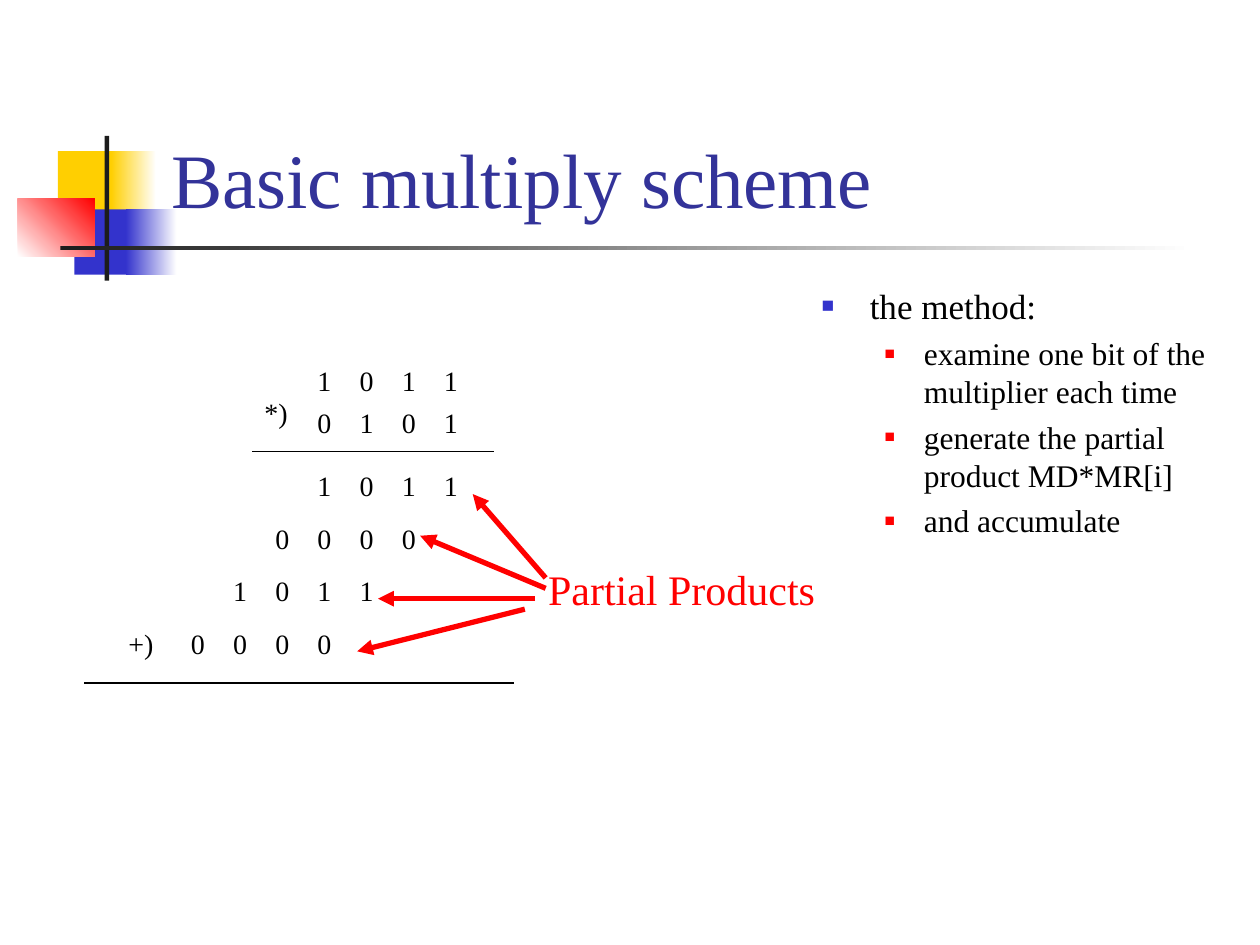
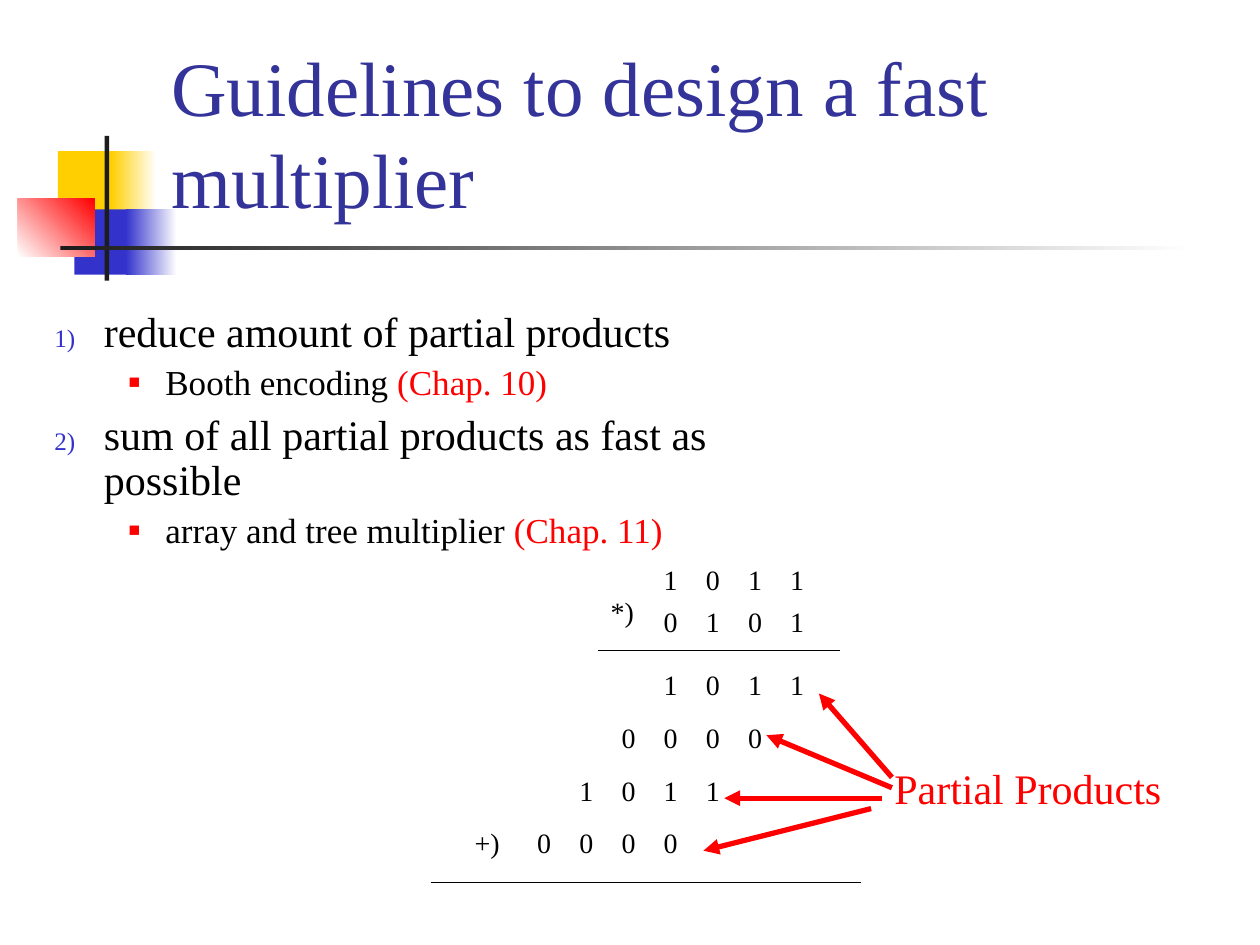
from collections import namedtuple

from pptx import Presentation
from pptx.dml.color import RGBColor
from pptx.enum.shapes import MSO_CONNECTOR as Connector, MSO_SHAPE as Shape
from pptx.enum.text import MSO_ANCHOR as Anchor, MSO_AUTO_SIZE as AutoSize, PP_ALIGN as Align
from pptx.oxml.ns import qn
from pptx.oxml.xmlchemy import OxmlElement
from pptx.util import Cm, Pt

FONT = "Times New Roman"
BLACK = RGBColor(0x00, 0x00, 0x00)
WHITE = RGBColor(0xFF, 0xFF, 0xFF)
CHARCOAL = RGBColor(0x1C, 0x1C, 0x1C)
YELLOW = RGBColor(0xFF, 0xCF, 0x01)
BLUE = RGBColor(0x33, 0x33, 0xCC)
RED = RGBColor(0xFF, 0x00, 0x00)
TITLE_BLUE = RGBColor(0x33, 0x33, 0x99)

SQUARE = "■"
DIGIT_STEP = 0.85
PARTIAL_STEP = 1.06

Level = namedtuple("Level", "size space_before margin hanging bullet_color bullet_size numbered")

METHOD_LEVELS = [
    Level(20, 5, 0.97, 0.97, BLUE, 60, False),
    Level(18, 4.5, 2.06, 0.79, RED, 55, False),
]
GUIDELINE_LEVELS = [
    Level(24, 6, 1, 1, BLUE, 60, True),
    Level(20, 5, 2.24, 0.74, RED, 55, False),
]

METHOD_ITEMS = [
    (0, "the method:", ""),
    (1, "examine one bit of the multiplier each time", ""),
    (1, "generate the partial product MD*MR[i]", ""),
    (1, "and accumulate", ""),
]
GUIDELINE_ITEMS = [
    (0, "reduce amount of partial products", ""),
    (1, "Booth encoding ", "(Chap. 10)"),
    (0, "sum of all partial products as fast as possible", ""),
    (1, "array and tree multiplier ", "(Chap. 11)"),
]

DECORATION = [
    ((1.17, 3.05, 1.22, 1.32), [YELLOW], 0),
    ((2.24, 3.05, 0.91, 1.32), [YELLOW, WHITE], 0),
    ((1.5, 4.22, 1.17, 1.32), [BLUE], 0),
    ((2.54, 4.22, 1.02, 1.32), [BLUE, WHITE], 0),
    ((0.36, 4.01, 1.55, 1.17), [WHITE, RED], 45),
    ((2.11, 2.74, 0.09, 2.92), [CHARCOAL], 0),
    ((1.22, 4.95, 22.86, 0.09), [CHARCOAL, WHITE], 0),
]

MULTIPLICAND = "1011"
MULTIPLIER = "0101"
PARTIAL_PRODUCTS = ["1011", "0000", "1011", "0000"]
PARTIAL_ARROWS = [
    ((9.3, 4.45), (7.83, 2.76)),
    ((9.3, 4.66), (6.77, 3.6)),
    ((9.09, 4.87), (5.92, 4.87)),
    ((8.88, 5.08), (5.5, 5.93)),
]


def add_child(parent, tag, **attributes):
    child = OxmlElement(tag)
    for name, value in attributes.items():
        child.set(name, str(value))
    parent.append(child)
    return child


def style_font(font, size, color):
    font.name = FONT
    font.size = Pt(size)
    font.color.rgb = color


def place(shape, left, top, width, height):
    shape.left, shape.top = Cm(left), Cm(top)
    shape.width, shape.height = Cm(width), Cm(height)


def add_block(slide, box, colors, angle):
    block = slide.shapes.add_shape(Shape.RECTANGLE, *map(Cm, box))
    block.shadow.inherit = False
    block.line.fill.background()
    if len(colors) == 1:
        block.fill.solid()
        block.fill.fore_color.rgb = colors[0]
    else:
        block.fill.gradient()
        block.fill.gradient_angle = angle
        for stop, color in zip(block.fill.gradient_stops, colors):
            stop.color.rgb = color
    return block


def decorate_layout(slide):
    layout_tree = slide.slide_layout.shapes.element
    for shape_id, (box, colors, angle) in enumerate(DECORATION, start=101):
        element = add_block(slide, box, colors, angle).element
        element.nvSpPr.cNvPr.set("id", str(shape_id))
        layout_tree.append(element)


def set_title(slide, text):
    title = slide.shapes.title
    place(title, 3.2, 0.58, 21.64, 4.06)
    frame = title.text_frame
    frame.text = text
    frame.auto_size = AutoSize.NONE
    frame.vertical_anchor = Anchor.BOTTOM
    paragraph = frame.paragraphs[0]
    paragraph.alignment = Align.LEFT
    style_font(paragraph.font, 44, TITLE_BLUE)


def add_bullet(paragraph, level):
    properties = paragraph._p.get_or_add_pPr()
    properties.set("marL", str(Cm(level.margin)))
    properties.set("indent", str(-Cm(level.hanging)))
    color = add_child(properties, "a:buClr")
    add_child(color, "a:srgbClr", val=level.bullet_color)
    add_child(properties, "a:buSzPct", val=level.bullet_size * 1000)
    add_child(properties, "a:buFont", typeface=FONT)
    if level.numbered:
        add_child(properties, "a:buAutoNum", type="arabicParenR")
    else:
        add_child(properties, "a:buChar", char=SQUARE)


def fill_body(slide, box, items, levels, line_spacing):
    body = slide.placeholders[1]
    place(body, *box)
    frame = body.text_frame
    frame.auto_size = AutoSize.NONE
    for index, (depth, text, chapter) in enumerate(items):
        paragraph = frame.add_paragraph() if index else frame.paragraphs[0]
        level = levels[depth]
        paragraph.level = depth
        add_bullet(paragraph, level)
        paragraph.line_spacing = line_spacing
        paragraph.space_before = Pt(level.space_before if index else 0)
        style_font(paragraph.font, level.size, BLACK)
        paragraph.add_run().text = text
        if chapter:
            run = paragraph.add_run()
            run.text = chapter
            run.font.color.rgb = RED


def add_label(slide, left, top, width, text, size=16, color=BLACK):
    height = 1.27 if size > 16 else 0.94
    label = slide.shapes.add_textbox(Cm(left), Cm(top), Cm(width), Cm(height))
    label.text_frame.word_wrap = True
    paragraph = label.text_frame.paragraphs[0]
    paragraph.text = text
    if "\t" in text:
        tabs = add_child(paragraph._p.get_or_add_pPr(), "a:tabLst")
        for column in range(1, text.count("\t") + 1):
            add_child(tabs, "a:tab", pos=Cm(column * DIGIT_STEP), algn="l")
    style_font(paragraph.font, size, color)


def add_digits(slide, left, top, digits):
    add_label(slide, left, top, 3.6, "\t".join(digits))


def add_line(slide, start, end, color=BLACK, width=0.75, arrow=False):
    line = slide.shapes.add_connector(Connector.STRAIGHT, *map(Cm, start + end))
    line.line.color.rgb = color
    line.line.width = Pt(width)
    properties = line.element.spPr
    if arrow:
        add_child(properties.find(qn("a:ln")), "a:tailEnd", type="triangle")
    add_child(properties, "a:effectLst")


def draw_multiplication(slide, left, top):
    def at(x, y):
        return left + x, top + y

    add_digits(slide, *at(4.45, 0), MULTIPLICAND)
    add_digits(slide, *at(4.45, 0.85), MULTIPLIER)
    add_label(slide, *at(3.38, 0.64), 1.1, "*)")
    add_line(slide, at(3.38, 1.9), at(8.25, 1.9))
    for row, digits in enumerate(PARTIAL_PRODUCTS):
        add_digits(slide, *at(4.45 - row * DIGIT_STEP, 2.12 + row * PARTIAL_STEP), digits)
    add_label(slide, *at(0.64, 5.3), 1.1, "+)")
    add_line(slide, at(0, 6.57), at(8.67, 6.57))
    add_label(slide, *at(9.1, 4.03), 6.1, "Partial Products", 24, RED)
    for start, end in PARTIAL_ARROWS:
        add_line(slide, at(*start), at(*end), RED, 3, arrow=True)


def main():
    presentation = Presentation()
    presentation.slide_width, presentation.slide_height = Cm(25.4), Cm(19.05)
    layout = presentation.slide_layouts[1]

    scheme = presentation.slides.add_slide(layout)
    decorate_layout(scheme)
    set_title(scheme, "Basic multiply scheme")
    fill_body(scheme, (16.31, 5.61, 8.59, 5.82), METHOD_ITEMS, METHOD_LEVELS, 1.0)
    draw_multiplication(scheme, 1.7, 7.2)

    guidelines = presentation.slides.add_slide(layout)
    set_title(guidelines, "Guidelines to design a fast multiplier")
    fill_body(guidelines, (0.84, 6.15, 13.77, 5.72), GUIDELINE_ITEMS, GUIDELINE_LEVELS, 0.9)
    draw_multiplication(guidelines, 8.68, 11.22)

    presentation.save("out.pptx")


if __name__ == "__main__":
    main()
